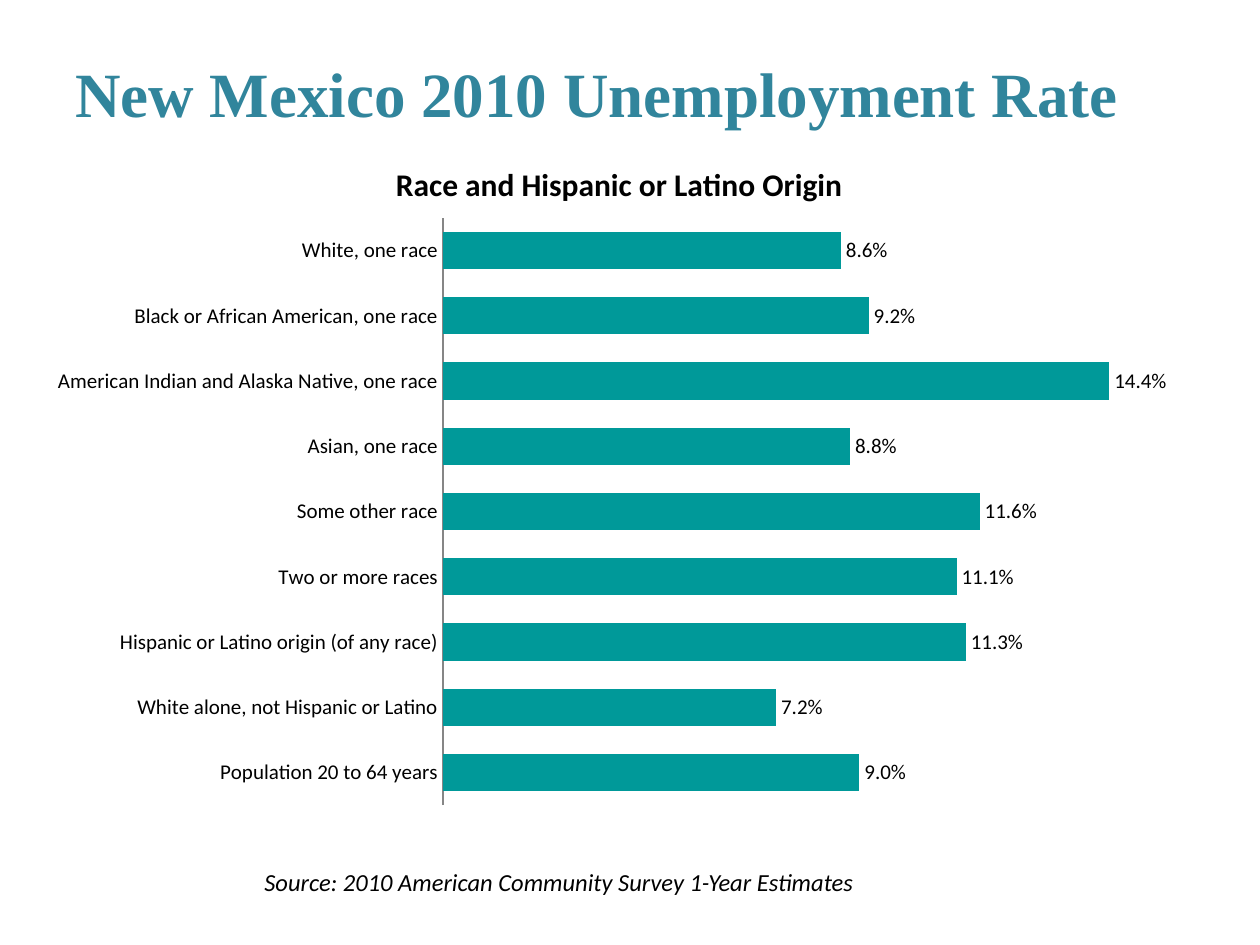
from typing import Any, NamedTuple

from lxml.etree import SubElement
from pptx import Presentation
from pptx.chart.data import CategoryChartData
from pptx.dml.color import RGBColor
from pptx.enum.chart import XL_CHART_TYPE, XL_LABEL_POSITION, XL_TICK_LABEL_POSITION, XL_TICK_MARK
from pptx.enum.text import MSO_ANCHOR
from pptx.oxml.ns import qn
from pptx.util import Inches, Pt

BLACK = RGBColor(0x00, 0x00, 0x00)
AXIS_GRAY = RGBColor(0x86, 0x86, 0x86)
HEADING_BLUE = RGBColor(0x31, 0x85, 0x9C)
BAR_TEAL = RGBColor(0x00, 0x99, 0x99)

UNEMPLOYMENT_RATES = {
    "White, one race": 0.086,
    "Black or African American, one race": 0.092,
    "American Indian and Alaska Native, one race": 0.144,
    "Asian, one race": 0.088,
    "Some other race": 0.116,
    "Two or more races": 0.111,
    "Hispanic or Latino origin (of any race)": 0.113,
    "White alone, not Hispanic or Latino": 0.072,
    "Population 20 to 64 years": 0.09,
}
# Inner plot area as fractions of the chart frame
PLOT_LAYOUT = {"x": 0.35, "y": 0.12, "w": 0.63, "h": 0.86}


class Caption(NamedTuple):
    text: str
    left: float
    top: float
    width: float
    height: float
    wrap: bool
    style: dict[str, Any]


CAPTIONS = [
    Caption("New Mexico 2010 Unemployment Rate", 0.5, 0.3, 9, 0.87, True,
            {"name": "Times New Roman", "size": Pt(36), "bold": True, "color": HEADING_BLUE}),
    Caption("Source: 2010 American Community Survey 1-Year Estimates", 2, 6.83, 4.93, 0.34, False,
            {"name": "Calibri", "size": Pt(14), "italic": True, "color": BLACK}),
]
CHART_STYLE = {"name": "Calibri", "size": Pt(10), "color": BLACK}
CHART_TITLE_STYLE = {**CHART_STYLE, "size": Pt(18), "bold": True}
LABEL_STYLE = {**CHART_STYLE, "size": Pt(12)}


def apply_style(font: Any, style: dict[str, Any]) -> None:
    for attribute, value in style.items():
        if attribute == "color":
            font.color.rgb = value
        else:
            setattr(font, attribute, value)


def add_caption(slide: Any, caption: Caption) -> None:
    box = slide.shapes.add_textbox(Inches(caption.left), Inches(caption.top),
                                   Inches(caption.width), Inches(caption.height))
    frame = box.text_frame
    frame.word_wrap = caption.wrap
    frame.vertical_anchor = MSO_ANCHOR.MIDDLE
    run = frame.paragraphs[0].add_run()
    run.text = caption.text
    apply_style(run.font, caption.style)


def fix_plot_area(chart: Any) -> None:
    """Pin the inner plot area to PLOT_LAYOUT."""
    plot_area = chart.plots[0]._element.getparent()
    for old_layout in plot_area.findall(qn("c:layout")):
        plot_area.remove(old_layout)
    layout = SubElement(plot_area, qn("c:layout"))
    plot_area.insert(0, layout)
    manual = SubElement(layout, qn("c:manualLayout"))
    settings = {"layoutTarget": "inner", "xMode": "edge", "yMode": "edge", **PLOT_LAYOUT}
    for tag, value in settings.items():
        SubElement(manual, qn(f"c:{tag}")).set("val", str(value))


def add_rate_chart(slide: Any) -> None:
    rates = CategoryChartData(number_format="0.0%")
    rates.categories = list(UNEMPLOYMENT_RATES)
    rates.add_series("Series 1", list(UNEMPLOYMENT_RATES.values()))
    chart = slide.shapes.add_chart(XL_CHART_TYPE.BAR_CLUSTERED, Inches(0.25), Inches(1.08),
                                   Inches(9.33), Inches(5.42), rates).chart
    apply_style(chart.font, CHART_STYLE)
    chart.has_legend = False
    chart.has_title = True
    heading = chart.chart_title.text_frame.paragraphs[0].add_run()
    heading.text = "Race and Hispanic or Latino Origin"
    apply_style(heading.font, CHART_TITLE_STYLE)

    race_axis = chart.category_axis
    race_axis.reverse_order = True
    race_axis.major_tick_mark = XL_TICK_MARK.NONE
    race_axis.tick_label_position = XL_TICK_LABEL_POSITION.NEXT_TO_AXIS
    race_axis.format.line.color.rgb = AXIS_GRAY
    apply_style(race_axis.tick_labels.font, LABEL_STYLE)

    rate_axis = chart.value_axis
    rate_axis.minimum_scale, rate_axis.maximum_scale = 0, 0.16
    rate_axis.has_major_gridlines = False
    rate_axis.visible = False

    bars = chart.plots[0]
    bars.gap_width = 75
    bars.vary_by_categories = False
    fill = bars.series[0].format.fill
    fill.solid()
    fill.fore_color.rgb = BAR_TEAL
    labels = bars.series[0].data_labels
    labels.show_value = True
    labels.number_format = "0.0%"
    labels.number_format_is_linked = False
    labels.position = XL_LABEL_POSITION.OUTSIDE_END
    apply_style(labels.font, LABEL_STYLE)
    fix_plot_area(chart)


def main() -> None:
    presentation = Presentation()
    presentation.slide_width, presentation.slide_height = Inches(10), Inches(7.5)
    slide = presentation.slides.add_slide(presentation.slide_layouts[6])
    add_rate_chart(slide)
    for caption in CAPTIONS:
        add_caption(slide, caption)
    presentation.save("out.pptx")


if __name__ == "__main__":
    main()
